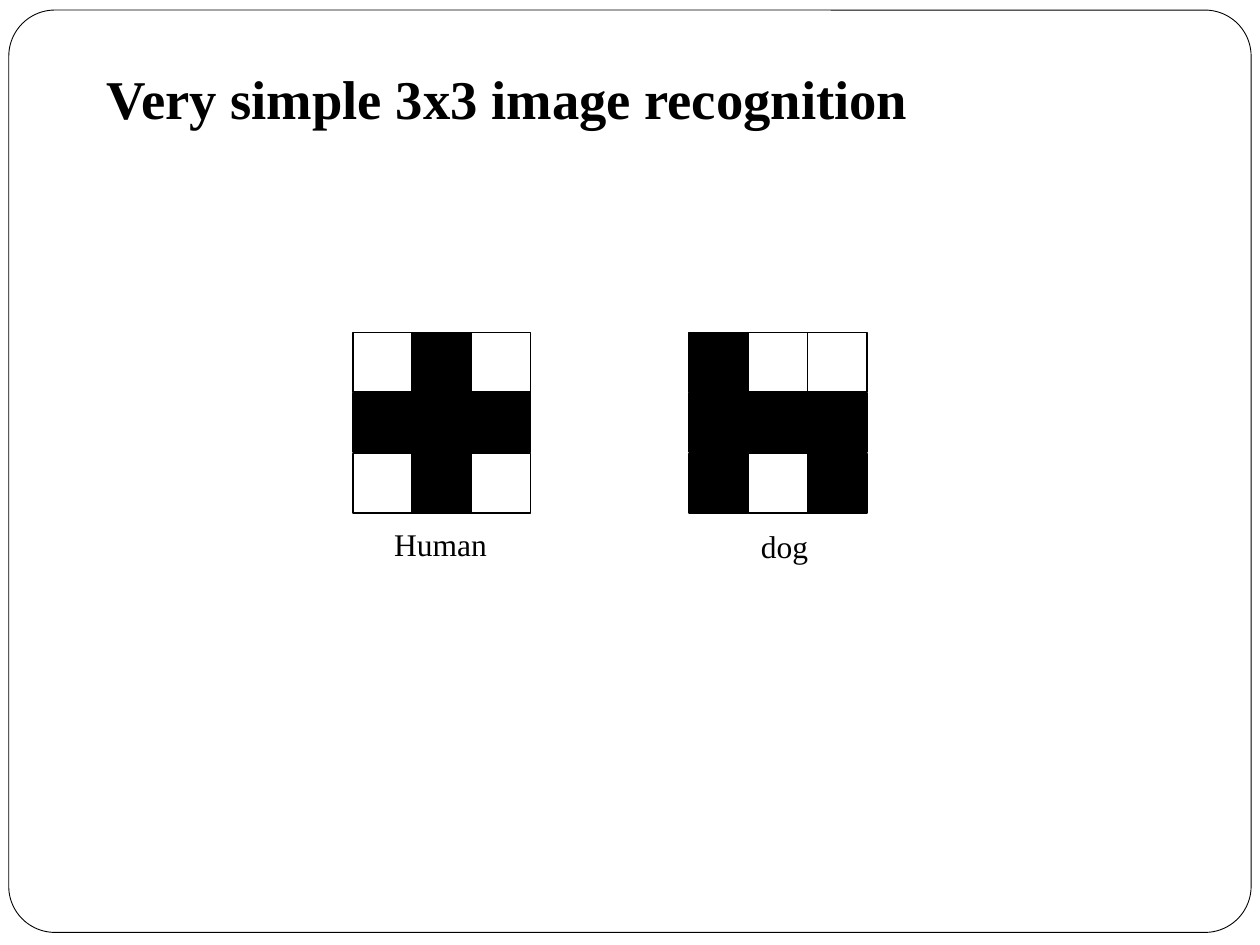
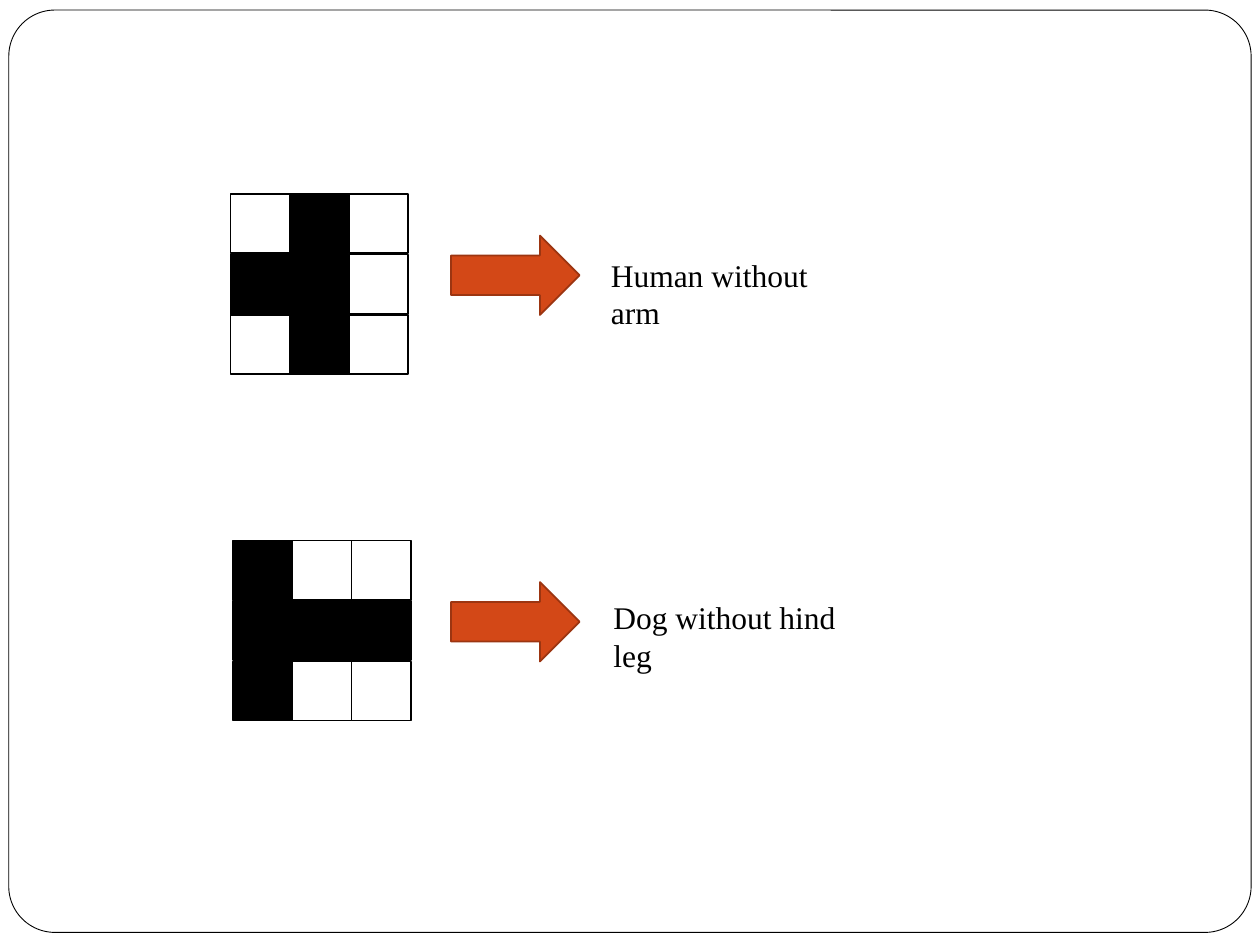
from pptx import Presentation
from pptx.dml.color import RGBColor
from pptx.enum.shapes import MSO_SHAPE
from pptx.enum.text import MSO_ANCHOR
from pptx.util import Inches, Pt

RECTANGLE = MSO_SHAPE.RECTANGLE
ROUNDED_RECTANGLE = MSO_SHAPE.ROUNDED_RECTANGLE
RIGHT_ARROW = MSO_SHAPE.RIGHT_ARROW
MIDDLE = MSO_ANCHOR.MIDDLE

BLACK, WHITE = "000000", "FFFFFF"
ORANGE, RUST = "D34817", "9C3511"
FONT = "Times New Roman"

# Pixel grid: cell side and the steps between cells
CELL, COLUMN_STEP, ROW_STEP = 0.47, 0.47, 0.48

# Each figure: left, top, rows of pixels (# is black)
FIGURES = [
    [(2.8, 2.64, [".#.", "###", ".#."]),
     (5.47, 2.64, ["#..", "###", "#.#"])],
    [(1.83, 1.54, [".#.", "##.", ".#."]),
     (1.85, 4.29, ["#..", "###", "#.."])],
]
# Each label: text, left, top, width
LABELS = [
    [("Human", 3.03, 4.12, 0.95), ("dog", 5.94, 4.13, 0.59)],
    [("Human without arm", 4.75, 1.98, 2.07),
     ("Dog without hind leg", 4.77, 4.7, 2.14)],
]
ARROW_TOPS = [[], [1.87, 4.62]]


def add_figure_shape(slide, kind, box, fill, line, line_width=1):
    shape = slide.shapes.add_shape(kind, *map(Inches, box))
    shape.shadow.inherit = False
    shape.fill.solid()
    shape.fill.fore_color.rgb = RGBColor.from_string(fill)
    shape.line.color.rgb = RGBColor.from_string(line)
    shape.line.width = Pt(line_width)
    return shape


def add_text(slide, text, box, size, bold=False):
    frame = slide.shapes.add_textbox(*map(Inches, box)).text_frame
    frame.word_wrap = True
    run = frame.paragraphs[0].add_run()
    run.text = text
    run.font.name = FONT
    run.font.size = Pt(size)
    run.font.bold = bold
    run.font.color.rgb = RGBColor.from_string(BLACK)
    return frame


presentation = Presentation()
presentation.slide_width = Inches(10)
presentation.slide_height = Inches(7.5)
blank_layout = presentation.slide_layouts[6]

for figures, labels, arrow_tops in zip(FIGURES, LABELS, ARROW_TOPS):
    slide = presentation.slides.add_slide(blank_layout)

    # Rounded frame shared by the slides
    border = add_figure_shape(slide, ROUNDED_RECTANGLE,
                              (0.07, 0.08, 9.86, 7.32), WHITE, BLACK, 0.5)
    border.adjustments[0] = 0.05

    # Pixel figures
    for left, top, rows in figures:
        for row, pixels in enumerate(rows):
            for column, pixel in enumerate(pixels):
                box = (left + column * COLUMN_STEP, top + row * ROW_STEP,
                       CELL, CELL)
                fill = BLACK if pixel == "#" else WHITE
                add_figure_shape(slide, RECTANGLE, box, fill, BLACK)

    # Arrows from figure to label
    for top in arrow_tops:
        add_figure_shape(slide, RIGHT_ARROW, (3.58, top, 1.02, 0.63),
                         ORANGE, RUST)

    # Labels
    for text, left, top, width in labels:
        add_text(slide, text, (left, top, width, 0.4), 18)

# Title of the first slide
title = add_text(presentation.slides[0], "Very simple 3x3 image recognition",
                 (0.75, 0.44, 8.5, 0.67), 31.2, bold=True)
title.vertical_anchor = MIDDLE

presentation.save("out.pptx")
